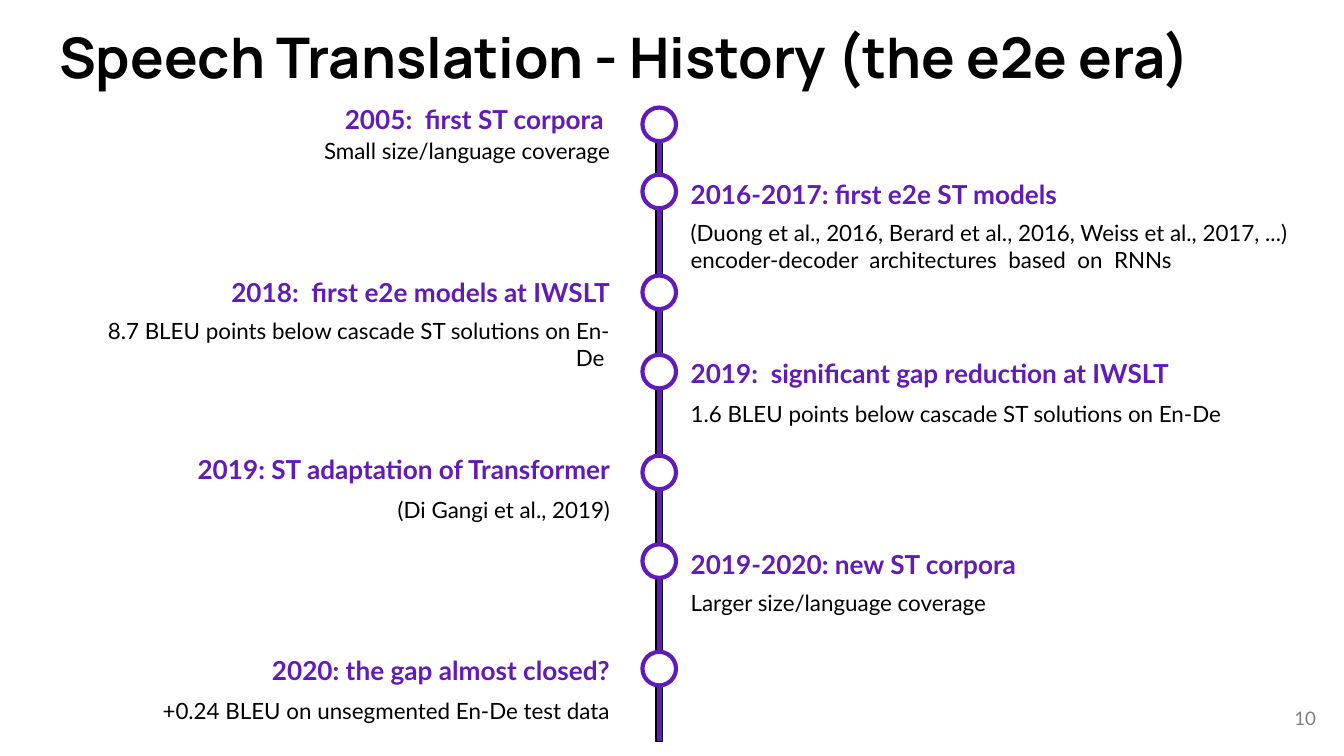
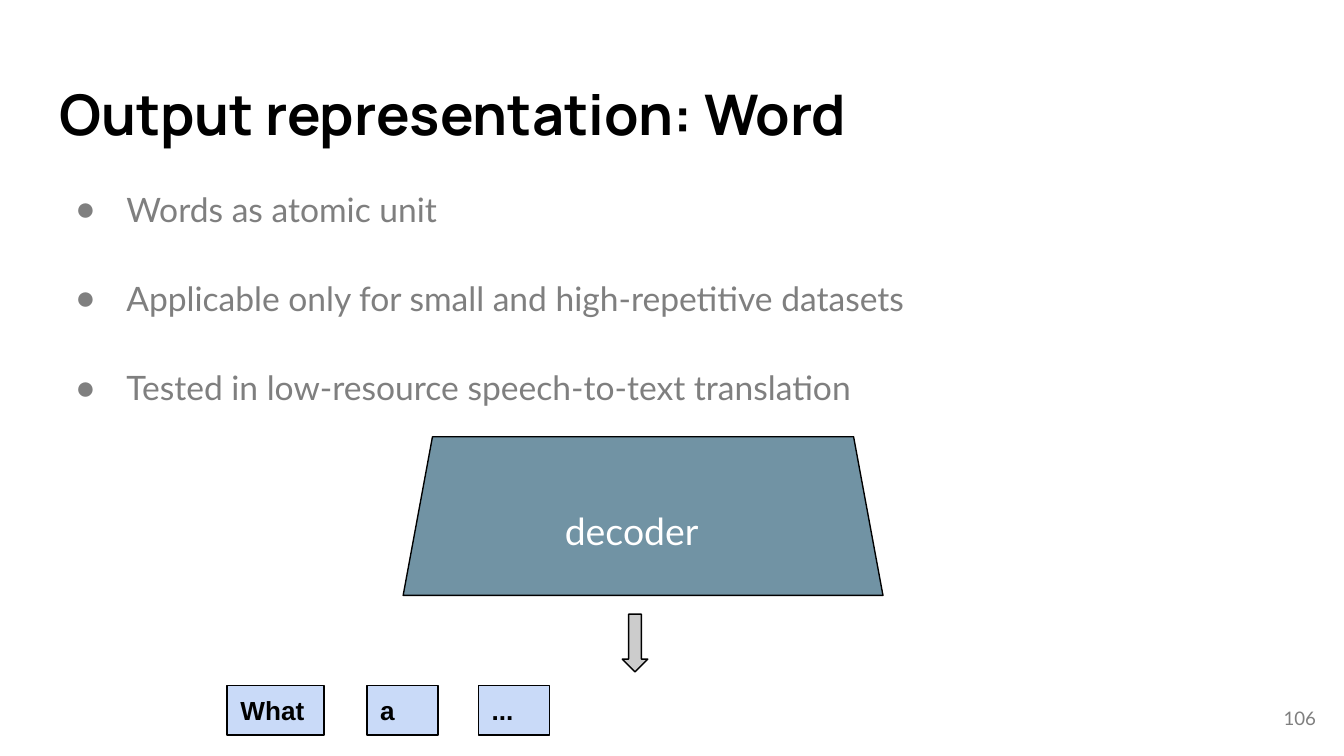
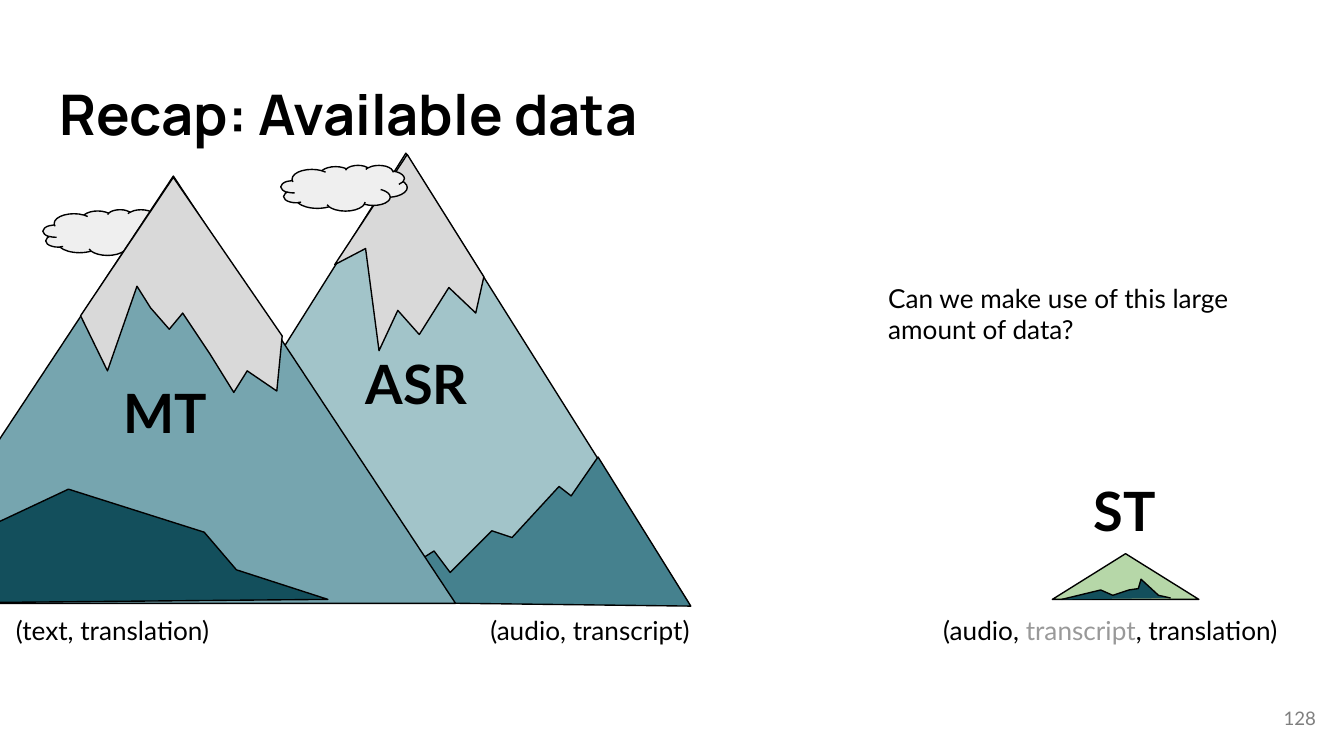
from pptx import Presentation, util as u
from pptx.dml.color import RGBColor
from pptx.enum import shapes, text
from pptx.oxml.ns import qn
from lxml import etree

PX = u.Inches(1) // 100          # one px is a hundredth of an inch
WIDTH, HEIGHT = 1000, 562.5
INSET = 10

# Shared colours and fonts
BLACK, WHITE, GREY = "000000", "FFFFFF", "7F7F7F"
PURPLE, SNOW, CLOUD, PALE_GREY = "611BB8", "D9D9D9", "EFEFEF", "999999"
DECODER, ARROW, TOKEN = "7193A4", "CCCCCC", "C9DAF8"
ASR_HILL, ASR_ROCK, MT_HILL = "A2C4C9", "45818E", "76A5AF"
DARK_ROCK, ST_HILL = "134F5C", "B6D7A8"
BODY_FONT, TITLE_FONT, TOKEN_FONT = "Lato", "Manrope", "Arial"

LEFT, CENTER, RIGHT = text.PP_ALIGN.LEFT, text.PP_ALIGN.CENTER, text.PP_ALIGN.RIGHT
TOP, MIDDLE = text.MSO_ANCHOR.TOP, text.MSO_ANCHOR.MIDDLE
KIND = shapes.MSO_SHAPE

# Slide 1: side, node top, (heading, top, width), (detail lines, top, width)
HISTORY = [
    ("left", 80, ("2005:  first ST corpora ", 67, 268),
     (["Small size/language coverage"], 92, 414)),
    ("right", 130, ("2016-2017: first e2e ST models", 123, 485),
     (["(Duong et al., 2016, Berard et al., 2016, Weiss et al., 2017, ...)",
       "encoder-decoder  architectures  based  on  RNNs"], 153, 467)),
    ("left", 205, ("2018:  first e2e models at IWSLT", 196, 313),
     (["8.7 BLEU points below cascade ST solutions on En-De "], 226, 398)),
    ("right", 264, ("2019:  significant gap reduction at IWSLT", 256, 479),
     (["1.6 BLEU points below cascade ST solutions on En-De"], 288, 436)),
    ("left", 339, ("2019: ST adaptation of Transformer", 327, 447),
     (["(Di Gangi et al., 2019)"], 359, 436)),
    ("right", 405, ("2019-2020: new ST corpora", 398, 398),
     (["Larger size/language coverage"], 428, 398)),
    ("left", 485, ("2020: the gap almost closed?", 477, 436),
     (["+0.24 BLEU on unsegmented En-De test data"], 509, 436)),
]
LEFT_EDGE, RIGHT_EDGE = 464, 504   # where left boxes end and right boxes begin

# Slide 2
WORD_POINTS = [
    "Words as atomic unit",
    "Applicable only for small and high-repetitive datasets",
    "Tested in low-resource speech-to-text translation",
]
TOKENS = [("What", 169, 72), ("a", 273, 53), ("...", 356, 53)]

# Slide 3: hills as (box, fill), outlines as (points, closed, fill)
ASR_MOUNTAIN = [(92, 114, 420, 334), ASR_HILL, [
    ([(272, 185), (282, 261), (296, 231), (312, 249), (334, 214), (354, 233),
      (360, 206), (303, 115), (249, 197)], True, SNOW),
    ([(263, 448), (323, 410), (335, 426), (366, 395), (381, 400), (416, 362),
      (425, 369), (445, 340), (514, 451)], True, ASR_ROCK)]]
MT_MOUNTAIN = [(-81, 131, 420, 318), MT_HILL, [
    ([(60, 235), (80, 276), (102, 213), (112, 229), (126, 245), (136, 233),
      (156, 263), (174, 292), (184, 276), (206, 291), (210, 250), (129, 132)],
     True, SNOW),
    ([(-27, 369), (-82, 449), (244, 446), (176, 424), (152, 396), (51, 364),
      (-15, 395), (-21, 356), (-82, 451)], False, DARK_ROCK)]]
ST_MOUNTAIN = [(783, 412, 109, 34), ST_HILL, [
    ([(790, 446), (819, 439), (828, 443), (840, 439), (847, 438), (849, 431),
      (862, 443), (871, 445)], False, DARK_ROCK)]]
CLOUDS = [(32, 156, 94, 34), (209, 123, 94, 34)]
MOUNTAIN_NAMES = [("ASR", (228, 251, 164, 118)), ("MT", (41, 272, 164, 118)),
                  ("ST", (755, 345, 164, 68))]
CAPTIONS = [
    ("(audio, transcript)", (355, 447, 174, 44)),
    ("(text, translation)", (2, 447, 206, 44)),
    ([("(audio, ", BLACK), ("transcript", PALE_GREY), (", translation)", BLACK)],
     (692, 447, 290, 44)),
    ("Can we make use of this large amount of data?", (651, 200, 298, 67)),
]


# Helpers
def rgb(value):
    return RGBColor.from_string(value)


def emu(values):
    return [round(value * PX) for value in values]


def place(item, box):
    item.left, item.top, item.width, item.height = emu(box)


def write(item, lines, size=14, font=BODY_FONT, color=BLACK, bold=False,
          align=LEFT, anchor=TOP, spacing=1.0, gap=0, bullet=None):
    """Fill a box; a line is a string or a list of (text, colour) spans."""
    frame = item.text_frame
    frame.word_wrap = True
    frame.auto_size = text.MSO_AUTO_SIZE.NONE
    frame.vertical_anchor = anchor
    frame.margin_left = frame.margin_right = INSET * PX
    frame.margin_top = frame.margin_bottom = INSET * PX
    for index, line in enumerate([lines] if isinstance(lines, str) else lines):
        para = frame.add_paragraph() if index else frame.paragraphs[0]
        para.alignment, para.line_spacing = align, spacing
        para.space_before = u.Pt(gap if index else 0)
        para.space_after = u.Pt(0)
        if bullet:
            add_bullet(para, bullet, color)
        for words, tint in [(line, color)] if isinstance(line, str) else line:
            span = para.add_run()
            span.text = words
            span.font.name, span.font.size = font, u.Pt(size)
            span.font.bold = bold
            span.font.color.rgb = rgb(tint)


def add_bullet(para, mark, color):
    props = para._p.get_or_add_pPr()
    props.set("marL", str(50 * PX))
    props.set("indent", str(-38 * PX))
    tint = etree.SubElement(props, qn("a:buClr"))
    etree.SubElement(tint, qn("a:srgbClr")).set("val", color)
    etree.SubElement(props, qn("a:buChar")).set("char", mark)


def add_text(page, lines, box, **style):
    write(page.shapes.add_textbox(*emu(box)), lines, **style)


def paint(item, fill, line=BLACK, weight=0.75):
    item.shadow.inherit = False
    item.fill.solid()
    item.fill.fore_color.rgb = rgb(fill)
    item.line.color.rgb = rgb(line)
    item.line.width = u.Pt(weight)


def add_shape(page, kind, box, fill, **outline):
    item = page.shapes.add_shape(kind, *emu(box))
    paint(item, fill, **outline)
    return item


def add_outline(page, points, closed, fill):
    builder = page.shapes.build_freeform(*points[0], scale=PX)
    builder.add_line_segments(points[1:], close=closed)
    paint(builder.convert_to_shape(), fill)


def add_mountain(page, box, fill, outlines):
    add_shape(page, KIND.ISOSCELES_TRIANGLE, box, fill)
    for outline in outlines:
        add_outline(page, *outline)


def add_page(deck, title, number, title_top=49, layout="Title Only"):
    page = deck.slides.add_slide(deck.slide_layouts.get_by_name(layout))
    place(page.shapes.title, (34, title_top, 932, 68))
    write(page.shapes.title, title, size=30, font=TITLE_FONT, bold=True)
    add_text(page, number, (929, 513, 60, 43), size=10, color=GREY,
             align=RIGHT, anchor=MIDDLE)
    return page


# Slides
def build_history(deck):
    page = add_page(deck, "Speech Translation - History (the e2e era)", "10", 7)
    add_shape(page, KIND.RECTANGLE, (488, 86, 5, 466), PURPLE)
    for side, node_top, heading, detail in HISTORY:
        add_shape(page, KIND.OVAL, (478, node_top, 25, 25), WHITE,
                  line=PURPLE, weight=2.25)
        styles = (dict(size=14, color=PURPLE, bold=True), dict(size=12))
        for (lines, top, width), style in zip((heading, detail), styles):
            left = LEFT_EDGE - width if side == "left" else RIGHT_EDGE
            height = 44 if style["size"] == 14 else 22 + 20 * len(lines)
            add_text(page, lines, (left, top, width, height),
                     align=RIGHT if side == "left" else LEFT, **style)


def build_words(deck):
    page = add_page(deck, "Output representation: Word", "106",
                    layout="Title and Content")
    body = page.placeholders[1]
    place(body, (34, 126, 932, 374))
    write(body, WORD_POINTS, size=18, color=GREY, spacing=1.15, gap=23, bullet="●")
    decoder = add_shape(page, KIND.TRAPEZOID, (300, 325, 357, 118), DECODER)
    decoder.adjustments[0] = 0.185
    add_text(page, "decoder", (361, 366, 218, 52), size=20, color=WHITE,
             align=CENTER, anchor=MIDDLE, spacing=1.15)
    add_shape(page, KIND.DOWN_ARROW, (463, 457, 19, 43), ARROW)
    for word, left, width in TOKENS:
        token = add_shape(page, KIND.RECTANGLE, (left, 510, width, 37), TOKEN)
        write(token, word, font=TOKEN_FONT, bold=True, anchor=MIDDLE)


def build_data(deck):
    page = add_page(deck, "Recap: Available data", "128")
    add_mountain(page, *ASR_MOUNTAIN)
    for box in CLOUDS:
        add_shape(page, KIND.CLOUD, box, CLOUD)
    add_mountain(page, *MT_MOUNTAIN)
    add_mountain(page, *ST_MOUNTAIN)
    for name, box in MOUNTAIN_NAMES:
        add_text(page, name, box, size=29, bold=True, align=CENTER)
    for caption, box in CAPTIONS:
        add_text(page, [caption], box)


def main():
    deck = Presentation()
    deck.slide_width, deck.slide_height = emu((WIDTH, HEIGHT))
    build_history(deck)
    build_words(deck)
    build_data(deck)
    deck.save("out.pptx")


if __name__ == "__main__":
    main()
